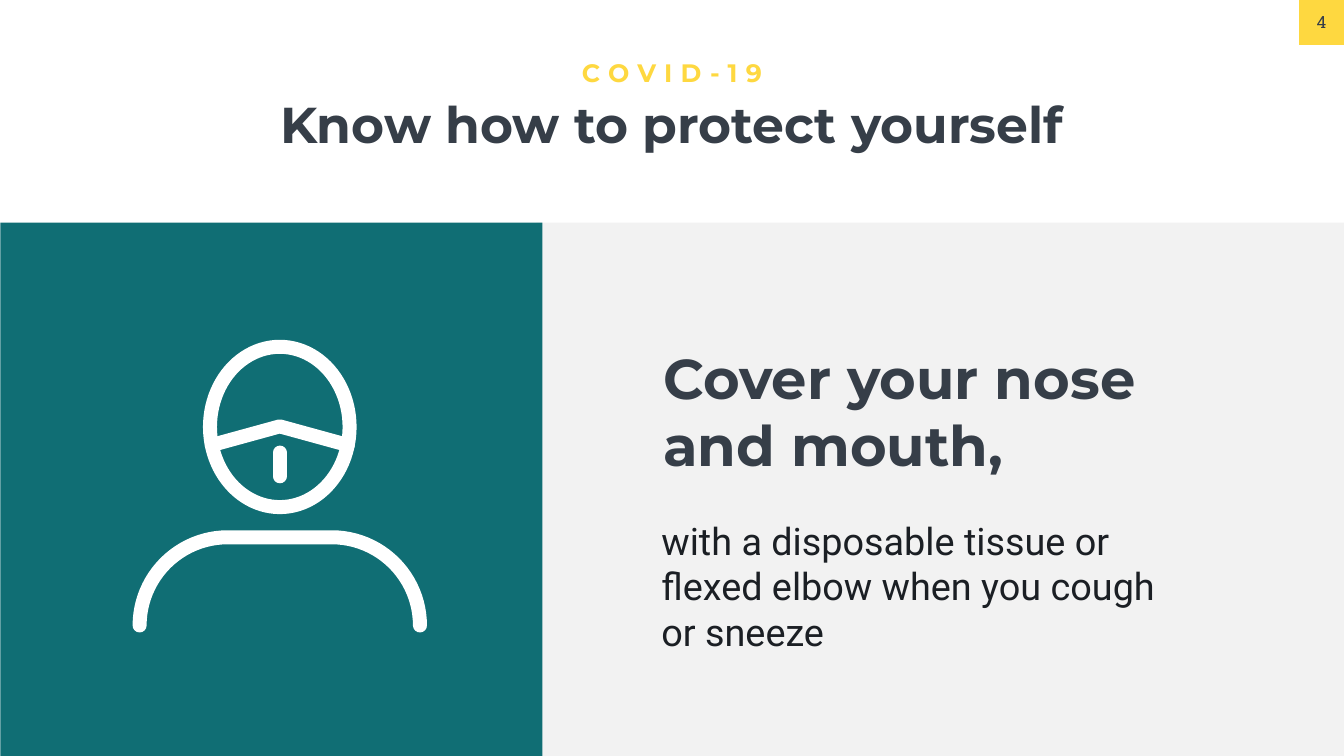
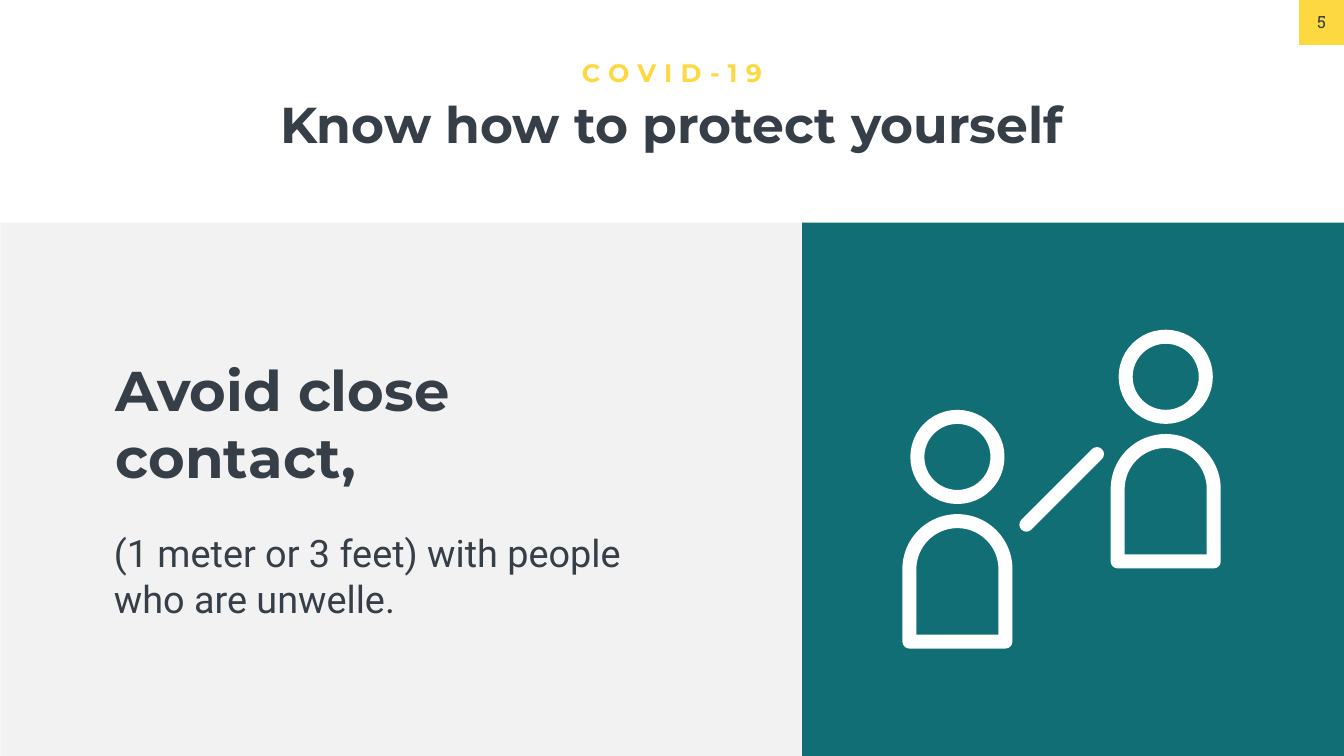
import math
from dataclasses import dataclass

import pptx
import pptx.dml.color
import pptx.enum.shapes
import pptx.enum.text
import pptx.oxml.ns
import pptx.util
from lxml import etree

Pt = pptx.util.Pt
qn = pptx.oxml.ns.qn
Shape = pptx.enum.shapes.MSO_SHAPE
Align = pptx.enum.text.PP_ALIGN

# Content
TITLE = "Know how to protect yourself"
TOPIC = "COVID-19"
ADVICE = [
    {
        "number": "4",
        "icon_side": "left",
        "icon": "mask",
        "heading": "Cover your nose and mouth,",
        "details": ["with a disposable tissue or flexed elbow when you cough or sneeze"],
        "details_color": "1B1F24",
        "text_at": (940.3, 486.7),
    },
    {
        "number": "5",
        "icon_side": "right",
        "icon": "distance",
        "heading": "Avoid close contact,",
        "details": ["(1 meter or 3 feet) with people", "who are unwelle."],
        "details_color": "363E48",
        "text_at": (158.4, 504.7),
    },
]


# Theme
@dataclass(frozen=True)
class Style:
    font: str
    size: float
    color: str
    bold: bool = False
    spacing: float = 0


@dataclass(frozen=True)
class Theme:
    white: str = "FFFFFF"
    yellow: str = "FED840"
    gray: str = "F2F2F2"
    teal: str = "106E74"
    stroke: float = 20
    title: Style = Style("Montserrat", 72, "363E48", True)
    topic: Style = Style("Montserrat", 36, "FED840", True, 12)
    heading: Style = Style("Montserrat", 80, "363E48", True)
    number: Style = Style("Roboto Slab", 24, "363E48")
    details_font: str = "Roboto"
    details_size: float = 54


THEME = Theme()
WIDTH, HEIGHT = 1919.52, 1080
PANEL_TOP = 318.2
TEXT_PANEL, ICON_PANEL = 1153.5, 774
TAB = 64.1


def rgb(color):
    return pptx.dml.color.RGBColor.from_string(color)


# Text
def write(box, lines, style, align=Align.LEFT, wrap=True,
          anchor=pptx.enum.text.MSO_ANCHOR.TOP):
    frame = box.text_frame
    frame.word_wrap = wrap
    frame.auto_size = pptx.enum.text.MSO_AUTO_SIZE.SHAPE_TO_FIT_TEXT
    frame.vertical_anchor = anchor
    for index, line in enumerate(lines):
        para = frame.add_paragraph() if index else frame.paragraphs[0]
        para.alignment = align
        para.space_before = Pt(0)
        properties = para._p.get_or_add_pPr()
        properties.set("marL", "0")
        properties.set("indent", "0")
        etree.SubElement(properties, qn("a:buNone"))
        span = para.add_run()
        span.text = line
        font = span.font
        font.name, font.size, font.bold = style.font, Pt(style.size), style.bold
        font.color.rgb = rgb(style.color)
        if style.spacing:
            span._r.get_or_add_rPr().set("spc", str(int(style.spacing * 100)))


def place(box, left, top, width, height):
    """Move a placeholder and bring it to the front."""
    box.left, box.top, box.width, box.height = map(Pt, (left, top, width, height))
    box.element.getparent().append(box.element)
    return box


def text_box(page, *bounds):
    return page.shapes.add_textbox(*map(Pt, bounds))


# Shapes
def panel(page, color, *bounds):
    box = page.shapes.add_shape(Shape.RECTANGLE, *map(Pt, bounds))
    box.shadow.inherit = False
    box.fill.solid()
    box.fill.fore_color.rgb = rgb(color)
    box.line.fill.background()


def stroke(item):
    """Give an icon part the thick white line with round ends and joins."""
    item.line.color.rgb = rgb(THEME.white)
    item.line.width = Pt(THEME.stroke)
    outline = item.line._get_or_add_ln()
    outline.set("cap", "rnd")
    etree.SubElement(outline, qn("a:round"))


def outline_shape(page, kind, *bounds):
    item = page.shapes.add_shape(kind, *map(Pt, bounds))
    item.shadow.inherit = False
    item.fill.background()
    stroke(item)
    return item


def outline_path(page, points):
    points = [(Pt(x), Pt(y)) for x, y in points]
    builder = page.shapes.build_freeform(*points[0])
    builder.add_line_segments(points[1:], close=False)
    item = builder.convert_to_shape()
    item.shadow.inherit = False
    item.fill.background()
    stroke(item)


def outline_line(page, start, end):
    item = page.shapes.add_connector(
        pptx.enum.shapes.MSO_CONNECTOR.STRAIGHT, *map(Pt, start + end))
    stroke(item)
    etree.SubElement(item._element.spPr, qn("a:effectLst"))


# Icons
def mask_icon(page):
    center = 399.6
    outline_shape(page, Shape.OVAL, center - 99.7, 495.4, 199.4, 229)

    # Shoulders: two quarter arcs joined by a flat top
    half, top, radius, steps = 200.2, 767.5, 126, 24
    arc = []
    for step in range(steps + 1):
        angle = math.pi / 2 * step / steps
        arc.append((half - radius + radius * math.cos(angle),
                    top + radius - radius * math.sin(angle)))
    left_side = [(center - x, y) for x, y in arc]
    right_side = [(center + x, y) for x, y in reversed(arc)]
    outline_path(page, left_side + right_side)

    outline_path(page, [(center - 97.2, 635.8), (center, 609.1), (center + 97.2, 635.8)])
    outline_line(page, (center, 646.6), (center, 680.4))


def person(page, center, top):
    head, width, height = 114.5, 137.2, 172
    outline_shape(page, Shape.OVAL, center - head / 2, top, head, head)
    torso = outline_shape(page, Shape.ROUND_2_SAME_RECTANGLE,
                          center - width / 2, top + 149, width, height)
    torso.adjustments[0] = 0.5


def distance_icon(page):
    person(page, 1664.9, 481)
    person(page, 1367.4, 595.5)
    outline_line(page, (1566.7, 648.7), (1465.9, 749.5))


ICONS = {"mask": mask_icon, "distance": distance_icon}


# Slides
def add_header(page, number):
    panel(page, THEME.yellow, WIDTH - TAB, 0, TAB, TAB)
    write(text_box(page, WIDTH - TAB, 9.4, TAB, 43.9), [number], THEME.number,
          Align.CENTER, anchor=pptx.enum.text.MSO_ANCHOR.MIDDLE)
    write(place(page.shapes.title, 288.7, 128.9, 1341.4, 94.3), [TITLE],
          THEME.title, Align.CENTER)
    write(text_box(page, 815, 77.8, 289.4, 51.1), [TOPIC], THEME.topic,
          Align.CENTER, wrap=False)


def add_panels(page, icon_side):
    edges = {"left": lambda width: 0.7, "right": lambda width: WIDTH - width}
    text_side = "right" if icon_side == "left" else "left"
    for color, side, width in ((THEME.gray, text_side, TEXT_PANEL),
                               (THEME.teal, icon_side, ICON_PANEL)):
        panel(page, color, edges[side](width), PANEL_TOP, width, HEIGHT - PANEL_TOP)


def add_advice(page, advice):
    left, top = advice["text_at"]
    write(text_box(page, left, top, 827.3, 200.9), [advice["heading"]], THEME.heading)
    lines = advice["details"]
    height = 203.8 if len(lines) == 1 else 138.2
    style = Style(THEME.details_font, THEME.details_size, advice["details_color"])
    write(place(page.placeholders[1], left - 2.9, top + 249.1, 766.1, height),
          lines, style)


def main():
    deck = pptx.Presentation()
    deck.slide_width, deck.slide_height = Pt(WIDTH), Pt(HEIGHT)
    for advice in ADVICE:
        page = deck.slides.add_slide(deck.slide_layouts[1])
        add_panels(page, advice["icon_side"])
        add_header(page, advice["number"])
        add_advice(page, advice)
        ICONS[advice["icon"]](page)
    deck.save("out.pptx")


if __name__ == "__main__":
    main()
